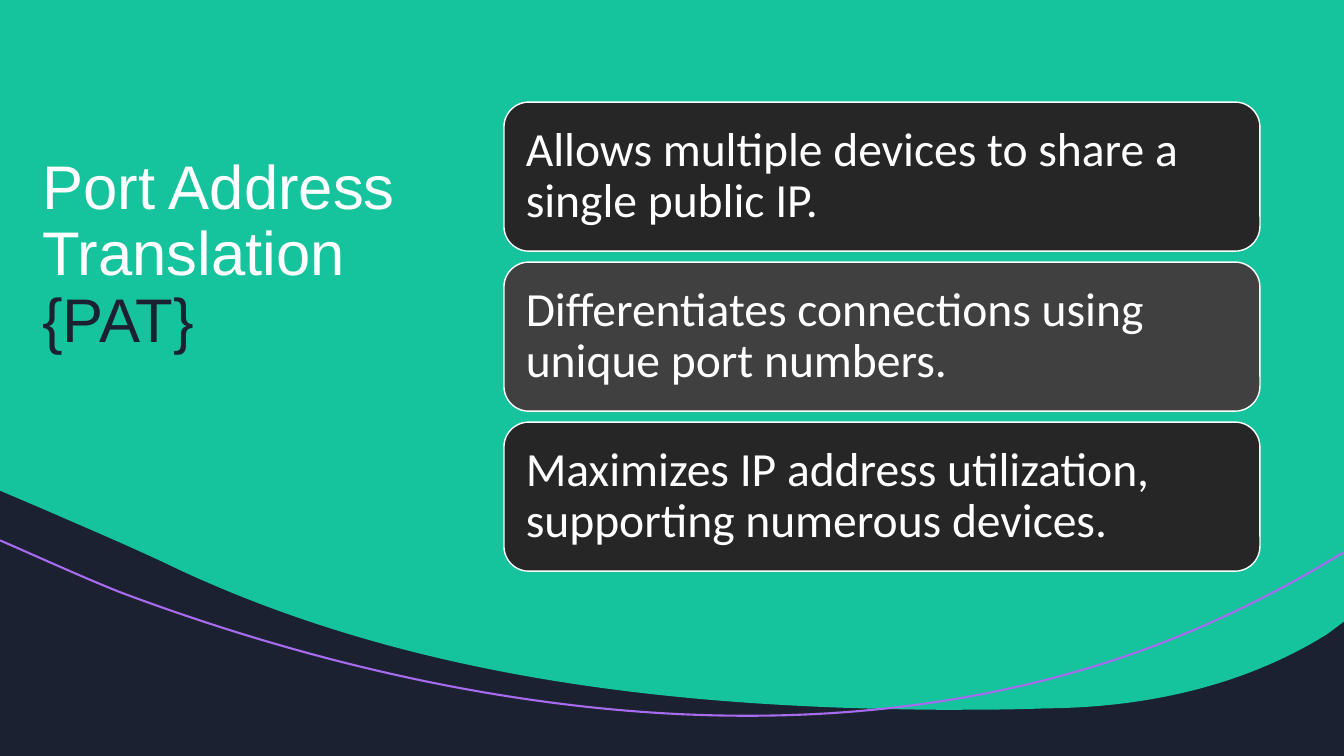
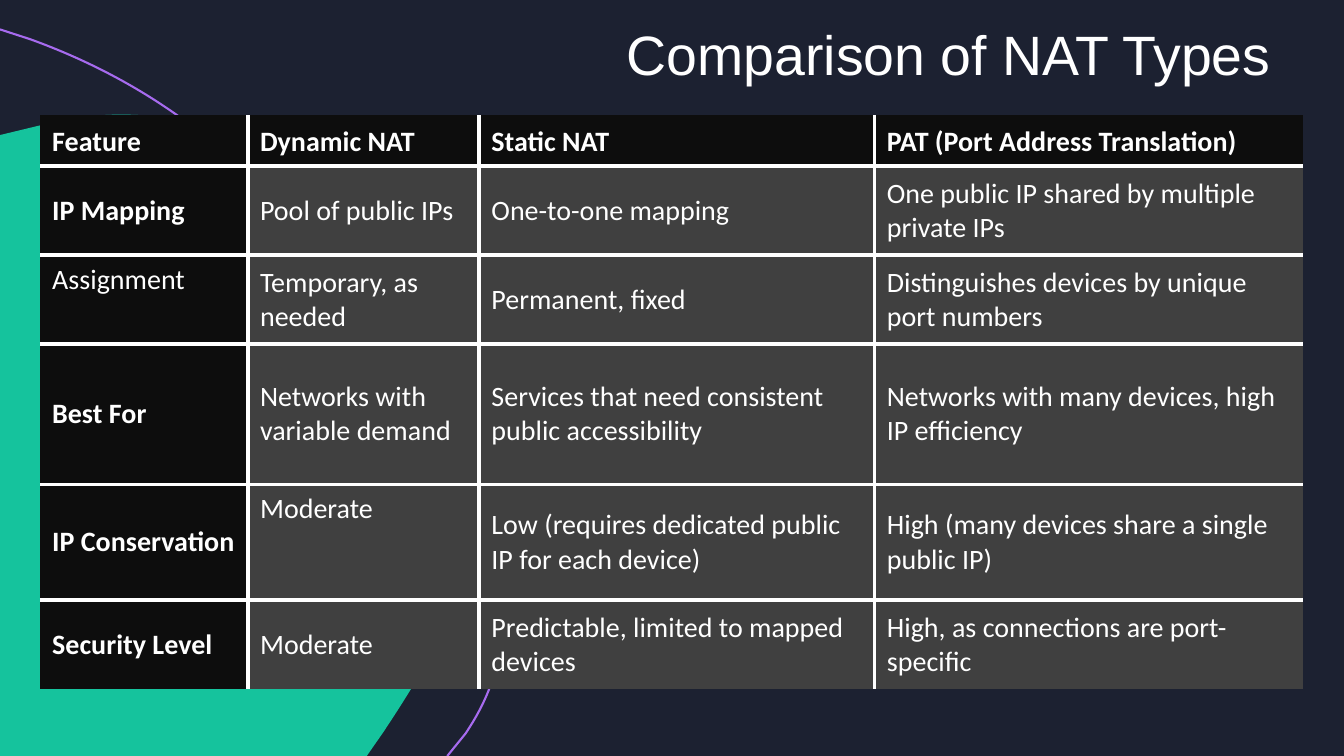
from dataclasses import dataclass

from lxml.etree import SubElement
from pptx import Presentation
from pptx.dml.color import RGBColor
from pptx.enum.shapes import MSO_SHAPE as Shape
from pptx.enum.text import MSO_ANCHOR as Anchor, MSO_AUTO_SIZE as AutoSize, PP_ALIGN as Align
from pptx.oxml.ns import qn
from pptx.util import Pt


# Theme: colours, fonts and type sizes
@dataclass(frozen=True)
class Theme:
    navy: str = "1C2131"
    teal: str = "15C39D"
    purple: str = "A76BEF"
    white: str = "FFFFFF"
    black: str = "0D0D0D"
    charcoal: str = "262626"
    grey: str = "404040"
    title_font: str = "Arial"
    body_font: str = "Calibri"
    title_size: float = 44
    table_title_size: float = 39.6
    card_size: float = 34
    table_size: float = 20


THEME = Theme()
WIDTH, HEIGHT = 960, 540
TITLE_ONLY = 5


def color(code):
    return RGBColor.from_string(code)


def write(para, text, *, size, font=THEME.body_font, fill=THEME.white, bold=False,
          spacing=None):
    """Add a formatted span to a left-aligned paragraph."""
    para.alignment = Align.LEFT
    if spacing:
        para.line_spacing = spacing
    span = para.add_run()
    span.text = text
    span.font.name, span.font.size, span.font.bold = font, Pt(size), bold
    span.font.color.rgb = color(fill)


def trace(start, segments, steps=24):
    """Points along a path: a pair is a line, three pairs are a cubic curve."""
    points = [start]
    for segment in segments:
        if len(segment) == 2:
            points.append(segment)
            continue
        corners = (points[-1], *segment)
        for step in range(1, steps + 1):
            t = step / steps
            weights = ((1 - t) ** 3, 3 * t * (1 - t) ** 2, 3 * t * t * (1 - t), t ** 3)
            points.append(tuple(sum(w * corner[axis] for w, corner in zip(weights, corners))
                                for axis in (0, 1)))
    return [(Pt(x), Pt(y)) for x, y in points]


class Deck:
    def __init__(self, theme):
        self.theme = theme
        self.file = Presentation()
        self.file.slide_width, self.file.slide_height = Pt(WIDTH), Pt(HEIGHT)
        backdrop = self.file.slide_master.background.fill
        backdrop.solid()
        backdrop.fore_color.rgb = color(theme.navy)
        self.page = None

    def new_page(self):
        self.page = self.file.slides.add_slide(self.file.slide_layouts[TITLE_ONLY])
        self.block(Shape.RECTANGLE, 0, 0, WIDTH, HEIGHT, self.theme.navy)

    def title(self, left, top, width, height, spans, size, anchor):
        box = self.page.shapes.title
        box.left, box.top, box.width, box.height = map(Pt, (left, top, width, height))
        frame = box.text_frame
        frame.auto_size, frame.word_wrap = AutoSize.NONE, True
        frame.vertical_anchor = anchor
        for text, fill in spans:
            write(frame.paragraphs[0], text, size=size, font=self.theme.title_font,
                  fill=fill, spacing=0.9)
        box.element.getparent().append(box.element)  # in front of the backdrop

    def curve(self, start, segments, fill=None, line=None):
        """Size a freeform by its traced points, then give it true cubic curves."""
        points = trace(start, segments)
        builder = self.page.shapes.build_freeform(*points[0], scale=1.0)
        builder.add_line_segments(points[1:], close=False)
        shape = builder.convert_to_shape()
        outline = next(shape.element.iter(qn("a:path")))
        for old in outline.findall(qn("a:lnTo")):
            outline.remove(old)
        for segment in segments:
            is_line = len(segment) == 2
            step = SubElement(outline, qn("a:lnTo" if is_line else "a:cubicBezTo"))
            for x, y in [segment] if is_line else segment:
                SubElement(step, qn("a:pt"), x=str(Pt(x) - shape.left),
                           y=str(Pt(y) - shape.top))
        if fill:
            SubElement(outline, qn("a:close"))
        self.paint(shape, fill, line, 1.5)

    def paint(self, shape, fill, line, weight):
        shape.shadow.inherit = False
        if fill:
            shape.fill.solid()
            shape.fill.fore_color.rgb = color(fill)
        else:
            shape.fill.background()
        if line:
            shape.line.color.rgb = color(line)
            shape.line.width = Pt(weight)
        else:
            shape.line.fill.background()

    def block(self, kind, left, top, width, height, fill, line=None):
        box = self.page.shapes.add_shape(kind, *map(Pt, (left, top, width, height)))
        self.paint(box, fill, line, 1)
        return box

    def card(self, left, top, width, height, text, fill):
        box = self.block(Shape.ROUNDED_RECTANGLE, left, top, width, height, fill,
                         self.theme.white)
        frame = box.text_frame
        frame.word_wrap, frame.vertical_anchor = True, Anchor.MIDDLE
        frame.margin_left = frame.margin_right = Pt(10.4)
        write(frame.paragraphs[0], text, size=self.theme.card_size, spacing=0.9)

    def table(self, left, top, widths, heights, rows, top_cells):
        frame = self.page.shapes.add_table(len(heights), len(widths), Pt(left), Pt(top),
                                           Pt(sum(widths)), Pt(sum(heights)))
        grid = frame.table
        grid.horz_banding = False
        for column, width in zip(grid.columns, widths):
            column.width = Pt(width)
        last_row, last_column = len(heights) - 1, len(widths) - 1
        for r, (texts, height) in enumerate(zip(rows, heights)):
            grid.rows[r].height = Pt(height)
            for c, text in enumerate(texts):
                cell, on_top = grid.cell(r, c), (r, c) in top_cells
                heading = r == 0 or c == 0
                cell.margin_left = Pt(8.8)
                cell.margin_right = cell.margin_top = cell.margin_bottom = Pt(5.2)
                cell.vertical_anchor = (Anchor.BOTTOM if r == 0 else
                                        Anchor.TOP if on_top else Anchor.MIDDLE)
                cell.fill.solid()
                cell.fill.fore_color.rgb = color(self.theme.black if heading else self.theme.grey)
                write(cell.text_frame.paragraphs[0], text, size=self.theme.table_size,
                      bold=heading and not on_top)
                self.borders(cell, L=c > 0, R=c < last_column, T=r > 0, B=r < last_row)

    def borders(self, cell, **sides):
        """Rule the inner sides of a cell and leave the outer ones bare."""
        props = cell._tc.get_or_add_tcPr()
        for index, (side, inner) in enumerate(sides.items()):
            line = SubElement(props, qn(f"a:ln{side}"), w=str(Pt(3)))
            props.insert(index, line)
            if inner:
                paint = SubElement(line, qn("a:solidFill"))
                SubElement(paint, qn("a:srgbClr"), val=self.theme.white)
            else:
                SubElement(line, qn("a:noFill"))


def port_address_page(deck):
    deck.new_page()
    # Waves
    deck.curve((0, 0), [
        (WIDTH, 0), (WIDTH, 444), (948, 453),
        ((887, 491), (816, 505.5), (747, 506)),
        ((721, 507), (696, 507), (670, 507)),
        ((487, 505.5), (298, 486), (128, 407)),
        ((97, 392), (66, 379), (34, 365)),
        (0, 350.5)], fill=THEME.teal)
    deck.curve((WIDTH, 394.5), [
        (938, 407.5),
        ((910, 423.5), (878, 440), (837, 456.5)),
        ((605.5, 548.5), (335, 515.5), (91, 425)),
        ((70.5, 417.5), (26.5, 397.5), (0, 386))], line=THEME.purple)
    # Title
    deck.title(23, 108, 307.5, 168.5,
               [("Port Address Translation ", THEME.white), ("{PAT}", THEME.navy)],
               THEME.title_size, Anchor.TOP)
    # Cards
    benefits = ["Allows multiple devices to share a single public IP.",
                "Differentiates connections using unique port numbers.",
                "Maximizes IP address utilization, supporting numerous devices."]
    for index, text in enumerate(benefits):
        deck.card(360, 72.9 + index * 114.3, 540, 106.5, text,
                  THEME.grey if index % 2 else THEME.charcoal)


def comparison_page(deck):
    deck.new_page()
    # Title
    deck.title(440.5, 9.2, 504.5, 57, [("Comparison of NAT Types", THEME.white)],
               THEME.table_title_size, Anchor.BOTTOM)
    # Waves
    deck.curve((91.5, 82), [
        ((103, 82), (114.5, 83.5), (124.5, 85.5)),
        ((167, 94.5), (202.5, 117.5), (232.5, 148.5)),
        ((263.5, 179.5), (289.5, 219), (314, 260)),
        ((371.5, 355.5), (330.5, 438), (273.5, 523.5)),
        (262, HEIGHT), (0, HEIGHT), (0, 96.5), (29, 89.5),
        ((51, 83.5), (72, 81.5), (91.5, 82))], fill=THEME.teal)
    deck.curve((0, 21), [
        (21.5, 28),
        ((162.5, 79), (228, 175), (283, 262)),
        ((328.5, 334), (373.5, 410.5), (353, 481.5)),
        ((348.5, 497), (341.5, 510.5), (332.5, 524)),
        (319.5, HEIGHT)], line=THEME.purple)
    # Table
    rows = [
        ["Feature", "Dynamic NAT", "Static NAT", "PAT (Port Address Translation)"],
        ["IP Mapping", "Pool of public IPs", "One-to-one mapping",
         "One public IP shared by multiple private IPs"],
        ["Assignment", "Temporary, as needed", "Permanent, fixed",
         "Distinguishes devices by unique port numbers"],
        ["Best For", "Networks with variable demand",
         "Services that need consistent public accessibility",
         "Networks with many devices, high IP efficiency"],
        ["IP Conservation", "Moderate",
         "Low (requires dedicated public IP for each device)",
         "High (many devices share a single public IP)"],
        ["Security Level", "Moderate", "Predictable, limited to mapped devices",
         "High, as connections are port-specific"],
    ]
    deck.table(28.5, 82.2, [148.5, 165.3, 282.5, 306], [36.6, 63.5, 63.5, 100.2, 82.8, 63.5],
               rows, top_cells={(2, 0), (4, 1)})


def main():
    deck = Deck(THEME)
    port_address_page(deck)
    comparison_page(deck)
    deck.file.save("out.pptx")


if __name__ == "__main__":
    main()
